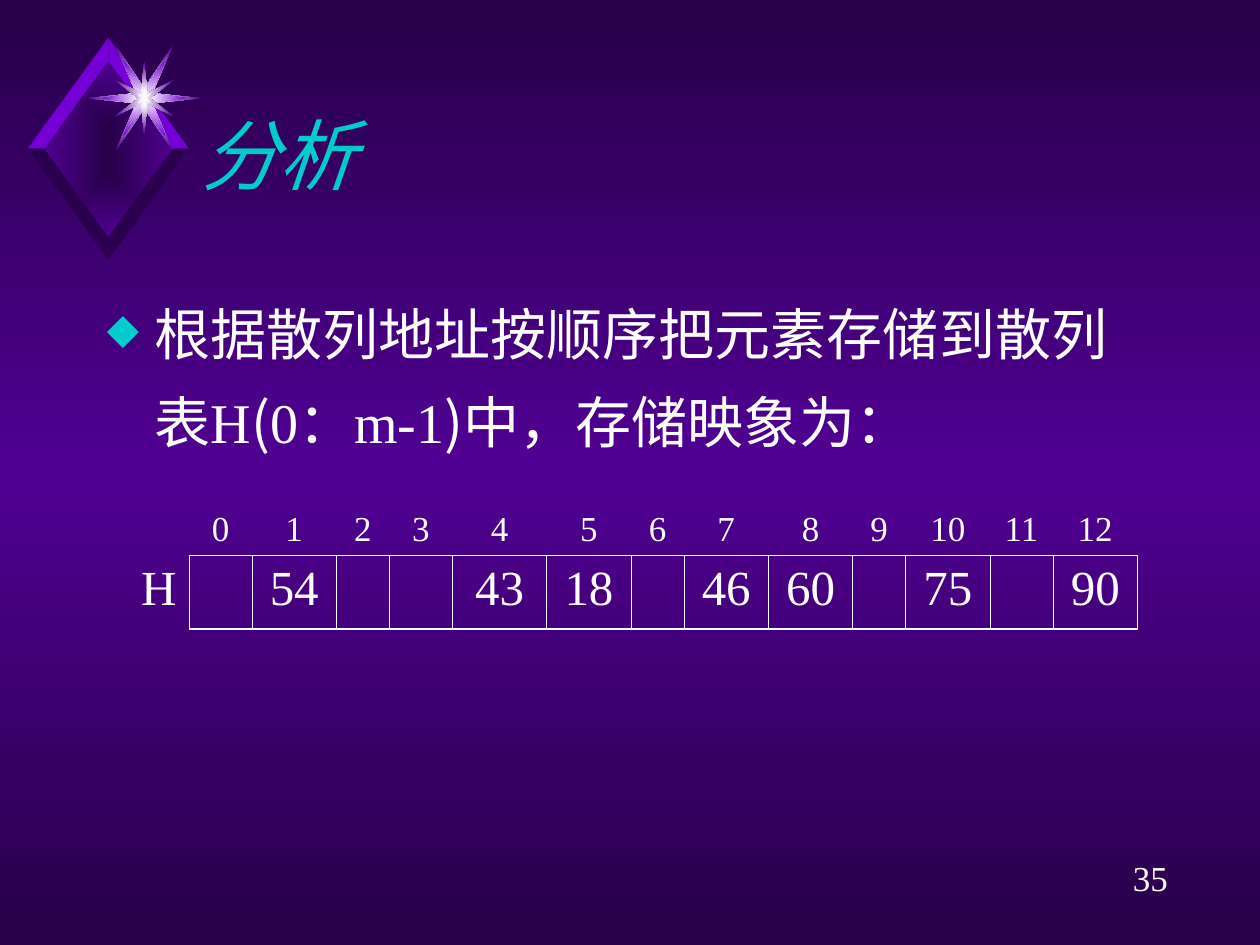
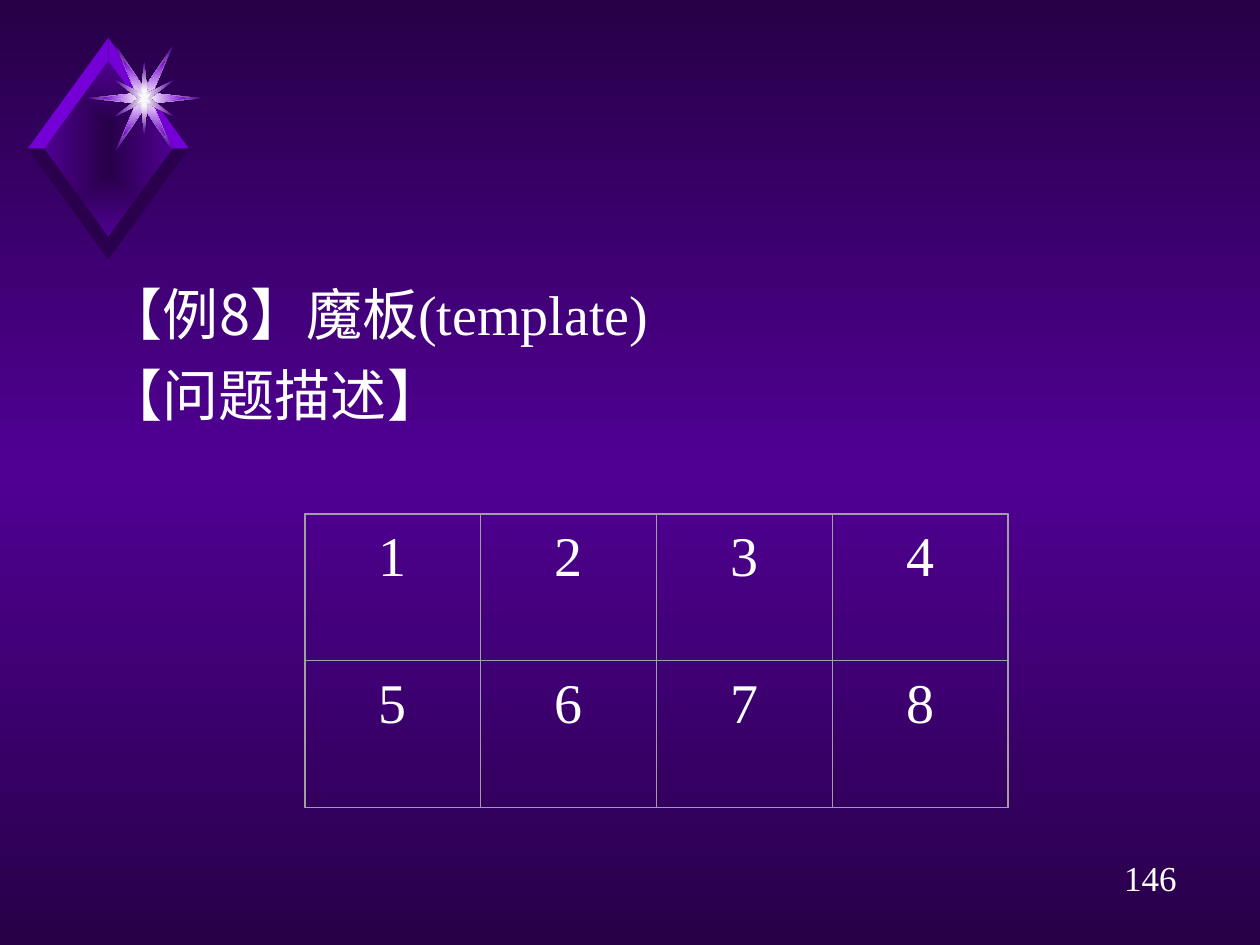
from lxml.etree import SubElement
from pptx import Presentation
from pptx.dml.color import RGBColor
from pptx.enum.shapes import MSO_SHAPE as SHAPE
from pptx.enum.text import MSO_ANCHOR as ANCHOR, PP_ALIGN as ALIGN
from pptx.oxml.ns import qn
from pptx.util import Inches, Pt

DARK, VIOLET, BRIGHT, SHADE = "270048", "500093", "7500D7", "2A004E"
WHITE, GLOW, CYAN, GREY = "FFFFFF", "FEFEFE", "00CCCC", "A0A0A0"
CJK, LATIN = "Noto Sans CJK SC", "Times New Roman"
NO_STYLE = "{2D5ABB26-0587-4C30-8999-92F81FD0307C}"
THIN, THICK = 0.45, 1.08


def rgb(color):
    """Turn a hex string into a colour."""
    return RGBColor.from_string(color)


def child(parent, tag, **attrs):
    """Append a DrawingML element with the given attributes."""
    return SubElement(parent, qn("a:" + tag), {k: str(v) for k, v in attrs.items()})


def set_gradient(fill, element, colors, centred=False):
    """Fill with evenly spaced colours, from top to bottom or from the centre."""
    fill.gradient()
    grad = next(element.iter(qn("a:gradFill")))
    for old in list(grad):
        grad.remove(old)
    stops = child(grad, "gsLst")
    for i, color in enumerate(colors):
        stop = child(stops, "gs", pos=100000 * i // (len(colors) - 1))
        child(stop, "srgbClr", val=color)
    if centred:
        shade = child(grad, "path", path="rect")
        child(shade, "fillToRect", l=50000, t=50000, r=50000, b=50000)
    else:
        child(grad, "lin", ang=5400000, scaled=0)


def add_run(p, text, size=32, font=LATIN, color=WHITE, italic=False):
    """Add a formatted run to a paragraph."""
    r = p.add_run()
    r.text = text
    r.font.size, r.font.name, r.font.italic = Pt(size), font, italic
    r.font.color.rgb = rgb(color)
    child(r._r.get_or_add_rPr(), "ea", typeface=CJK)


def format_paragraph(p, align=ALIGN.LEFT, before=0, line=None, hanging=0, bullet=None):
    """Set alignment, spacing, hanging indent and bullet of a paragraph."""
    p.alignment, p.space_before = align, Pt(before)
    if line:
        p.line_spacing = line
    pPr = p._p.get_or_add_pPr()
    if hanging:
        pPr.set("marL", str(Inches(hanging)))
        pPr.set("indent", str(-Inches(hanging)))
    if bullet:
        child(child(pPr, "buClr"), "srgbClr", val=CYAN)
        child(pPr, "buSzPct", val=75000)
        child(pPr, "buChar", char=bullet)


def add_text(s, box, paragraphs, anchor=ANCHOR.TOP, size=32, color=WHITE,
             italic=False, **layout):
    """Add a text box whose paragraphs are lists of (text, font) runs."""
    tf = s.shapes.add_textbox(*map(Inches, box)).text_frame
    tf.word_wrap, tf.vertical_anchor = True, anchor
    for i, runs in enumerate(paragraphs):
        p = tf.add_paragraph() if i else tf.paragraphs[0]
        format_paragraph(p, **layout)
        for text, font in runs:
            add_run(p, text, size, font, color, italic)


def add_outline(group, centre, points, colors):
    """Add a closed outline around a centre, plain or with a centred gradient."""
    cx, cy = centre
    points = [(Inches(cx + x), Inches(cy + y)) for x, y in points]
    builder = group.shapes.build_freeform(*points[0])
    builder.add_line_segments(points[1:], close=True)
    sp = builder.convert_to_shape()
    sp.shadow.inherit = False
    sp.line.fill.background()
    if len(colors) > 1:
        set_gradient(sp.fill, sp._element.spPr, colors, centred=True)
    else:
        sp.fill.solid()
        sp.fill.fore_color.rgb = rgb(colors[0])


def star_points(quarter):
    """Mirror a quarter, running from the x axis to the y axis, into a star."""
    half = quarter + [(-x, y) for x, y in quarter[-2::-1]]
    return half + [(-x, -y) for x, y in half[1:-1]]


def add_ornament(s, left, top):
    """Draw the bevelled diamond with its sparkle."""
    group = s.shapes.add_group_shape()
    centre, sparkle = (left + 0.64, top + 0.88), (left + 0.925, top + 0.48)
    face = [(0, -0.71), (-0.52, 0), (0, 0.71), (0.52, 0)]
    add_outline(group, centre, face, [DARK, VIOLET])
    bevel = [(0, 0.7), (0, 0.88), (0.64, 0), (0.51, 0)]
    for sy, color in ((-1, BRIGHT), (1, SHADE)):
        for sx in (1, -1):
            add_outline(group, centre, [(sx * x, sy * y) for x, y in bevel], [color])
    stars = [
        ([(0.455, 0), (0.065, 0.04), (0.225, 0.415), (0, 0.08)], [GLOW, VIOLET]),
        ([(0.335, 0), (0.065, 0.04), (0.165, 0.3), (0, 0.08)], [GLOW, BRIGHT]),
        ([(0.045, 0), (0.235, 0.145), (0.025, 0.04), (0, 0.29)], [GLOW, VIOLET]),
        ([(0.02, 0), (0.055, 0.04), (0.01, 0.02), (0, 0.07)], ["F9F9F9"]),
    ]
    for quarter, colors in stars:
        add_outline(group, sparkle, star_points(quarter), colors)


def new_slide(prs, number):
    """Add a slide with the shared background, ornament and page number."""
    s = prs.slides.add_slide(prs.slide_layouts[6])
    set_gradient(s.background.fill, s._element, [DARK, VIOLET, DARK])
    add_ornament(s, 0.22, 0.3)
    add_text(s, (8.67, 6.75, 0.92, 0.44), [[(str(number), LATIN)]], size=20,
             align=ALIGN.CENTER, before=12.5)
    return s


def set_borders(cell, **widths):
    """Draw white borders on the sides L, R, T and B that have a width."""
    tcPr = cell._tc.get_or_add_tcPr()
    for side in "LRTB":
        width = widths.get(side)
        ln = child(tcPr, "ln" + side, w=Pt(width or 0))
        if width:
            child(child(ln, "solidFill"), "srgbClr", val=WHITE)
        else:
            child(ln, "noFill")


def fill_cell(cell, text, size, before, align=ALIGN.CENTER, anchor=ANCHOR.TOP):
    """Write a cell and leave its background clear."""
    cell.fill.background()
    cell.vertical_anchor = anchor
    p = cell.text_frame.paragraphs[0]
    format_paragraph(p, align, before)
    if text:
        add_run(p, text, size)


def add_hash_table(s, left, top, stored):
    """Draw the storage of H: addresses above, stored elements below."""
    widths = [0.58, 0.5, 0.67, 0.42, 0.5, 0.75, 0.67, 0.42, 0.67, 0.67, 0.42,
              0.67, 0.5, 0.67]
    box = map(Inches, (left, top, sum(widths), 1.16))
    table = s.shapes.add_table(2, len(widths), *box).table
    table.first_row = table.horz_banding = False
    table._tbl.tblPr.find(qn("a:tableStyleId")).text = NO_STYLE
    for column, width in zip(table.columns, widths):
        column.width = Inches(width)
    set_borders(table.cell(0, 0))
    fill_cell(table.cell(0, 0), "", 20, 5)
    set_borders(table.cell(1, 0), R=THIN)
    fill_cell(table.cell(1, 0), "H", 28, 7, align=ALIGN.RIGHT)
    last = len(widths) - 2
    for address in range(last + 1):
        head, slot = table.cell(0, address + 1), table.cell(1, address + 1)
        set_borders(head, B=THIN)
        fill_cell(head, str(address), 20, 5, anchor=ANCHOR.BOTTOM)
        set_borders(slot, L=THIN, T=THIN, B=THICK,
                    R=THICK if address == last else THIN)
        fill_cell(slot, str(stored.get(address, "")), 28, 7)


def add_frame(s, box, width):
    """Add an unfilled grey rectangle."""
    sp = s.shapes.add_shape(SHAPE.RECTANGLE, *map(Inches, box))
    sp.shadow.inherit = False
    sp.fill.background()
    sp.line.color.rgb = rgb(GREY)
    sp.line.width = Pt(width)


def add_board(s, left, top, width, height, rows=2, cols=4):
    """Draw the puzzle board with its numbered squares."""
    w, h = width / cols, height / rows
    for i in range(rows * cols):
        x, y = left + i % cols * w, top + i // cols * h
        add_text(s, (x + 0.1, y, w - 0.2, h), [[(str(i + 1), LATIN)]],
                 align=ALIGN.CENTER)
        add_frame(s, (x, y, w, h), 0)
    add_frame(s, (left, top, width, height), 0.88)


def analysis_slide(prs):
    """Build the slide on how elements are stored in the hash table."""
    s = new_slide(prs, 35)
    add_text(s, (1.5, 0.52, 7.75, 1.4), [[("分析", CJK)]], anchor=ANCHOR.MIDDLE,
             size=44, color=CYAN, italic=True)
    runs = [("根据散列地址按顺序把元素存储到散列表", CJK), ("H", LATIN), ("(", CJK),
            ("0", LATIN), ("：", CJK), ("m-1", LATIN), (")中，存储映象为：", CJK)]
    add_text(s, (0.75, 2.17, 8.5, 1.58), [runs], before=8, line=1.3,
             hanging=0.38, bullet="◆")
    add_hash_table(s, 0.92, 3.83, {1: 54, 4: 43, 5: 18, 7: 46, 8: 60, 10: 75, 12: 90})


def puzzle_slide(prs):
    """Build the slide that introduces the puzzle board."""
    s = new_slide(prs, 146)
    lines = [[("【例8】", CJK), ("魔板(template)", LATIN)],
             [("【", CJK), ("问题描述", LATIN), ("】", CJK)]]
    add_text(s, (0.75, 2.17, 8.5, 1.42), lines, before=8, hanging=0.38)
    add_board(s, 2.42, 4.08, 5.58, 2.33)


def main():
    """Build and save the presentation."""
    prs = Presentation()
    prs.slide_width, prs.slide_height = Inches(10), Inches(7.5)
    analysis_slide(prs)
    puzzle_slide(prs)
    prs.save("out.pptx")


if __name__ == "__main__":
    main()
